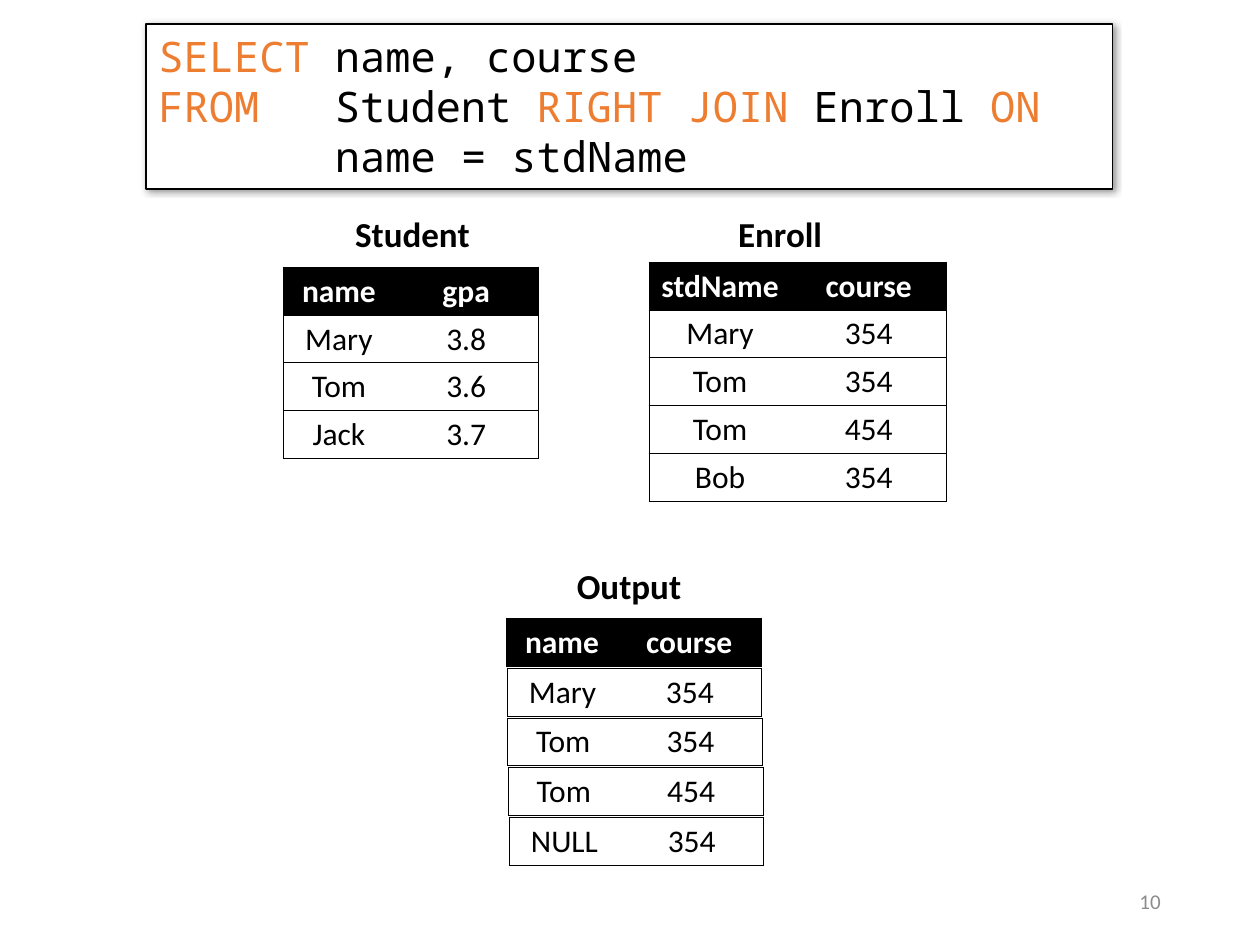
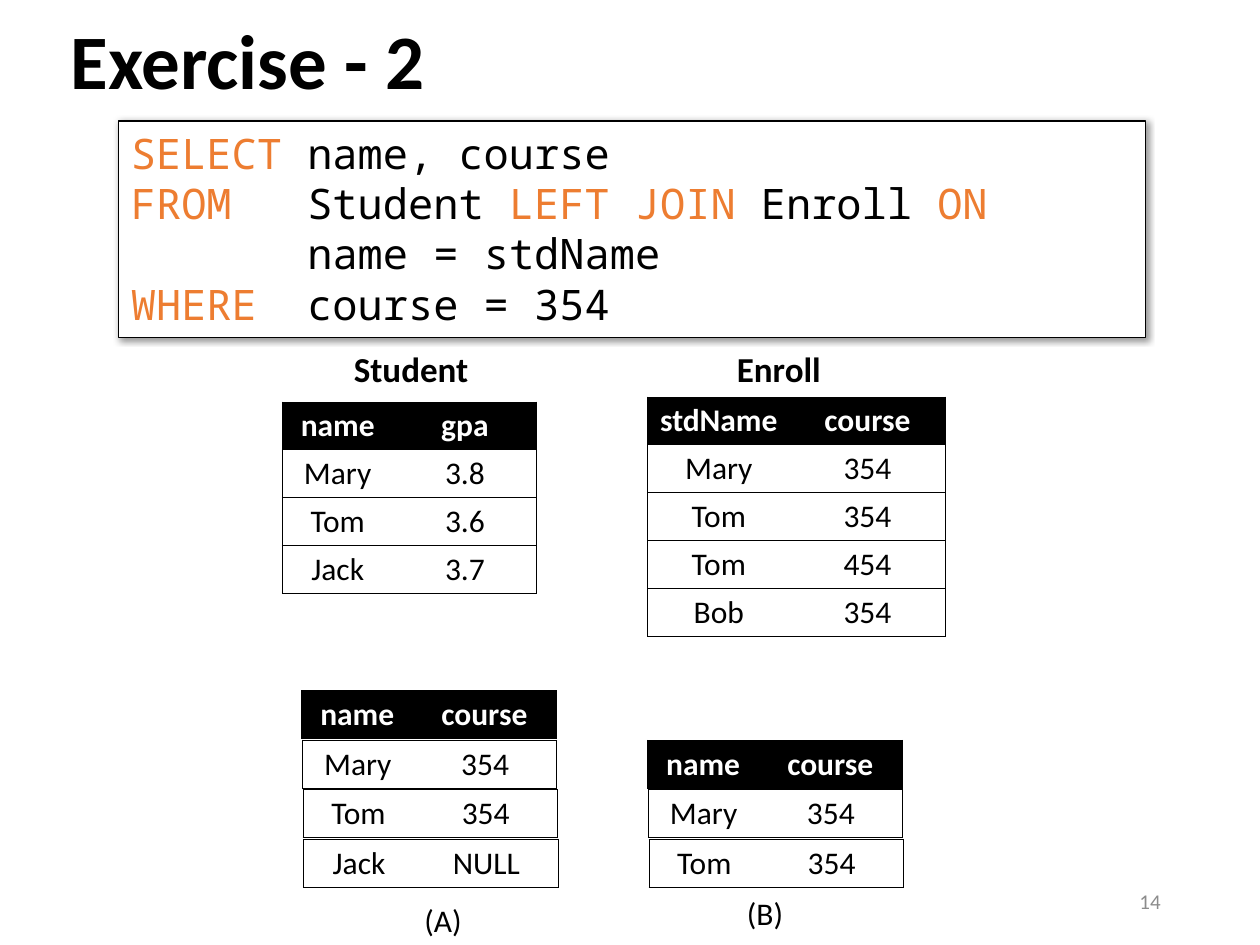
from collections import namedtuple

from lxml import etree
from pptx import Presentation
from pptx.dml.color import RGBColor
from pptx.enum.shapes import MSO_SHAPE
from pptx.enum.text import MSO_ANCHOR, PP_ALIGN
from pptx.oxml import parse_xml
from pptx.oxml.ns import nsdecls, qn
from pptx.util import Inches, Pt

RECTANGLE = MSO_SHAPE.RECTANGLE
TOP, MIDDLE = MSO_ANCHOR.TOP, MSO_ANCHOR.MIDDLE
LEFT, CENTER, RIGHT = PP_ALIGN.LEFT, PP_ALIGN.CENTER, PP_ALIGN.RIGHT

BLACK = RGBColor(0x00, 0x00, 0x00)
WHITE = RGBColor(0xFF, 0xFF, 0xFF)
KEYWORD = RGBColor(0xED, 0x7D, 0x31)
NUMBER_GRAY = RGBColor(0x8C, 0x8C, 0x8C)
TEXT_FONT, CODE_FONT = "Calibri", "Noto Sans Mono"

# The slide is a grid of 100 columns by 75 rows of square units
SLIDE_WIDTH, SLIDE_HEIGHT = Inches(10), Inches(7.5)
UNIT = SLIDE_WIDTH // 100
TITLE_ONLY, BLANK = 5, 6

Box = namedtuple("Box", "left top width height")
NUMBER_BOX = Box(70.6, 69.5, 22.5, 4)
TITLE_BOX = Box(4.6, -2.1, 86.2, 14.5)

ROW_HEIGHT = 3.75
ROW_PITCH = 1.05 * ROW_HEIGHT   # rows of a result stand slightly apart
ROW_SHIFT = 0.05                # and each moves a little to the right
NARROW_COLUMNS = (8.8, 11.4)
ENROLL_COLUMNS = (11.3, 12.3)

STUDENT = [("name", "gpa"), ("Mary", "3.8"), ("Tom", "3.6"), ("Jack", "3.7")]
ENROLL = [("stdName", "course"), ("Mary", "354"), ("Tom", "354"),
          ("Tom", "454"), ("Bob", "354")]
RESULT_HEADER = ("name", "course")


def place(box):
    """Grid box to slide lengths."""
    return [round(length * UNIT) for length in box]


def style(paragraph, size, color, bold=False, font=TEXT_FONT, align=LEFT):
    paragraph.alignment = align
    paragraph.font.name = font
    paragraph.font.size = Pt(size)
    paragraph.font.bold = bold
    paragraph.font.color.rgb = color


def add_label(slide, box, text, size=20, color=BLACK, bold=True, align=LEFT,
              wrap=False, anchor=TOP):
    frame = slide.shapes.add_textbox(*place(box)).text_frame
    frame.word_wrap = wrap
    frame.vertical_anchor = anchor
    frame.text = text
    style(frame.paragraphs[0], size, color, bold, align=align)


def add_page_number(slide, number):
    add_label(slide, NUMBER_BOX, number, 12, NUMBER_GRAY, False, RIGHT, True, MIDDLE)


def add_title(slide, text):
    title = slide.shapes.title
    title.left, title.top, title.width, title.height = place(TITLE_BOX)
    frame = title.text_frame
    frame.text = text
    frame.vertical_anchor = MIDDLE
    frame.paragraphs[0].line_spacing = 0.9
    style(frame.paragraphs[0], 44, BLACK, True)


def add_query(slide, box, lines):
    """Code box; "|" switches between keywords and plain code in a line."""
    query = slide.shapes.add_shape(RECTANGLE, *place(box))
    query.fill.solid()
    query.fill.fore_color.rgb = WHITE
    query.line.color.rgb = BLACK
    query.line.width = Pt(0.75)
    query.shadow.inherit = False
    effects = query._element.spPr.find(qn("a:effectLst"))
    shadow = etree.SubElement(effects, qn("a:outerShdw"), blurRad=str(Pt(4)),
                              dist=str(Pt(1)), dir="2700000", algn="tl", rotWithShape="0")
    shade = etree.SubElement(shadow, qn("a:srgbClr"), val=str(BLACK))
    etree.SubElement(shade, qn("a:alpha"), val="40000")

    frame = query.text_frame
    frame.word_wrap = True
    frame.vertical_anchor = TOP
    for index, line in enumerate(lines):
        paragraph = frame.paragraphs[0] if index == 0 else frame.add_paragraph()
        style(paragraph, 24, BLACK, font=CODE_FONT)
        for part, code in enumerate(line.split("|")):
            if code:
                run = paragraph.add_run()
                run.text = code
                run.font.color.rgb = BLACK if part % 2 else KEYWORD


def set_borders(cell, first, last):
    """Rule above and below each cell, and at the outer sides of the row."""
    sides = {"lnL": first, "lnR": last, "lnT": True, "lnB": True}
    for index, (side, ruled) in enumerate(sides.items()):
        paint = f'<a:solidFill><a:srgbClr val="{BLACK}"/></a:solidFill>' if ruled else "<a:noFill/>"
        border = parse_xml(f'<a:{side} {nsdecls("a")} w="{Pt(0.5)}">{paint}</a:{side}>')
        cell._tc.get_or_add_tcPr().insert(index, border)


def add_relation(slide, left, top, columns, rows, header=True):
    box = Box(left, top, sum(columns), ROW_HEIGHT * len(rows))
    table = slide.shapes.add_table(len(rows), len(columns), *place(box)).table
    table.first_row = header
    table.horz_banding = False
    for column, width in zip(table.columns, columns):
        column.width = round(width * UNIT)
    for r, values in enumerate(rows):
        heading = header and r == 0
        for c, value in enumerate(values):
            cell = table.cell(r, c)
            cell.margin_left = cell.margin_right = Inches(0.07)
            cell.margin_top = cell.margin_bottom = Inches(0.04)
            cell.fill.solid()
            cell.fill.fore_color.rgb = BLACK if heading else WHITE
            set_borders(cell, c == 0, c == len(values) - 1)
            cell.text = value
            style(cell.text_frame.paragraphs[0], 18, WHITE if heading else BLACK,
                  heading, align=CENTER)


def add_source_relations(slide, left, top):
    """Student and Enroll side by side, each under its name."""
    add_label(slide, Box(left + 4.7, top, 11.2, 4.4), "Student")
    add_relation(slide, left, top + 4.8, NARROW_COLUMNS, STUDENT)
    add_label(slide, Box(left + 35.1, top, 8.7, 4.4), "Enroll")
    add_relation(slide, left + 29, top + 4.4, ENROLL_COLUMNS, ENROLL)


def add_result(slide, left, top, rows):
    """Result header and rows as separate one-row tables."""
    for index, row in enumerate([RESULT_HEADER] + rows):
        add_relation(slide, left + index * ROW_SHIFT, top + index * ROW_PITCH,
                     NARROW_COLUMNS, [row], header=index == 0)


def build_right_join(deck):
    slide = deck.slides.add_slide(deck.slide_layouts[BLANK])
    add_page_number(slide, "10")
    add_query(slide, Box(11.6, 1.9, 76.7, 13.1), [
        "SELECT| name, course",
        "FROM|   Student |RIGHT JOIN |Enroll| ON",
        "|       name = stdName",
    ])
    add_source_relations(slide, 22.5, 16.4)
    add_label(slide, Box(44.8, 44.3, 10.4, 4.4), "Output")
    add_result(slide, 40.2, 49.1,
               [("Mary", "354"), ("Tom", "354"), ("Tom", "454"), ("NULL", "354")])


def build_exercise(deck):
    slide = deck.slides.add_slide(deck.slide_layouts[TITLE_ONLY])
    add_title(slide, "Exercise - 2")
    add_page_number(slide, "14")
    add_query(slide, Box(9.4, 9.6, 81.5, 17.2), [
        "SELECT| name, course",
        "FROM|   Student |LEFT JOIN |Enroll| ON",
        "|       name = stdName",
        "WHERE  |course = 354",
    ])
    add_source_relations(slide, 22.4, 27.1)

    # Candidate answers
    add_result(slide, 23.95, 54.8, [("Mary", "354"), ("Tom", "354"), ("Jack", "NULL")])
    add_result(slide, 51.4, 58.75, [("Mary", "354"), ("Tom", "354")])
    add_label(slide, Box(32.7, 71, 5, 4), "(A)", 18, bold=False)
    add_label(slide, Box(58.3, 70.5, 4.9, 4), "(B)", 18, bold=False)


def main():
    deck = Presentation()
    deck.slide_width, deck.slide_height = SLIDE_WIDTH, SLIDE_HEIGHT
    build_right_join(deck)
    build_exercise(deck)
    deck.save("out.pptx")


if __name__ == "__main__":
    main()
